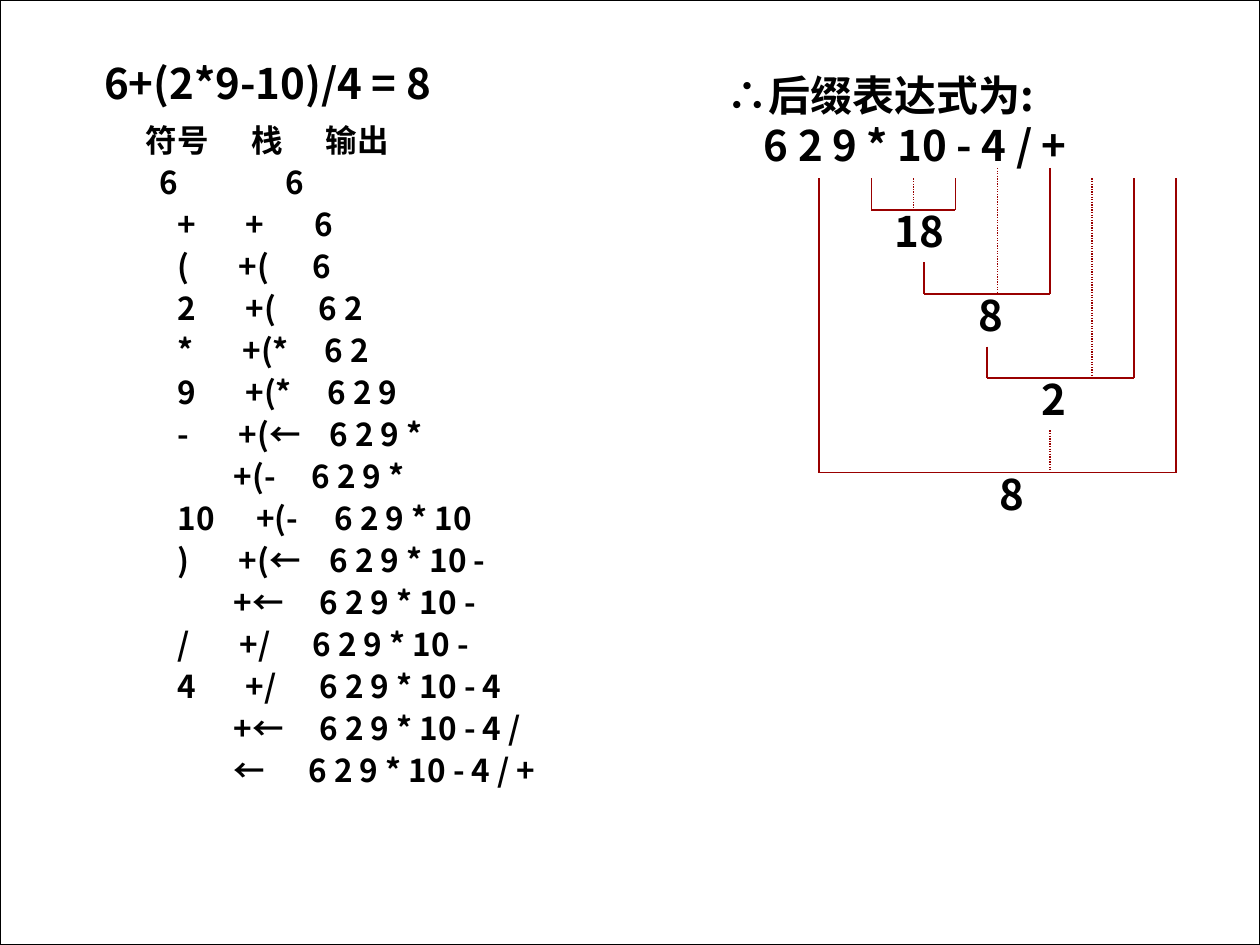
from lxml import etree
from pptx import Presentation
from pptx.dml.color import RGBColor
from pptx.enum.dml import MSO_LINE
from pptx.enum.shapes import MSO_CONNECTOR, MSO_SHAPE
from pptx.enum.text import MSO_AUTO_SIZE, PP_ALIGN
from pptx.oxml.ns import qn
from pptx.util import Cm, Pt

STRAIGHT = MSO_CONNECTOR.STRAIGHT
RECT = MSO_SHAPE.RECTANGLE
DOTTED = MSO_LINE.ROUND_DOT
JUSTIFY = PP_ALIGN.JUSTIFY
GROW = MSO_AUTO_SIZE.SHAPE_TO_FIT_TEXT
FONT = "Noto Sans CJK SC"
BLACK, WHITE, RED = "000000", "FFFFFF", "990000"

TITLE = "6+(2*9-10)/4 = 8"
POSTFIX = ["∴后缀表达式为:", "6 2 9 * 10 - 4 / +"]

# text, left, tab stops
ROWS = [
    ("符号\t栈\t输出", 2.69, (2.14, 3.63)),
    ("\t6\t6", 2.69, (0.28, 2.82)),
    ("+\t+\t6", 3.33, (1.37, 2.76)),
    ("(\t+(\t6", 3.33, (1.23, 2.72)),
    ("2\t+(\t6 2", 3.33, (1.37, 2.84)),
    ("*\t+(*\t6 2", 3.33, (1.31, 2.96)),
    ("9\t+(*\t6 2 9", 3.33, (1.37, 3.02)),
    ("-\t+(←\t6 2 9 *", 3.33, (1.23, 3.06)),
    ("\t+(-\t6 2 9 *", 3.33, (1.13, 2.7)),
    ("10\t+(-\t6 2 9 * 10", 3.33, (1.59, 3.16)),
    (")\t+(←\t6 2 9 * 10 -", 3.33, (1.23, 3.06)),
    ("\t+←\t6 2 9 * 10 -", 3.33, (1.13, 2.86)),
    ("/\t+/\t6 2 9 * 10 -", 3.33, (1.25, 2.72)),
    ("4\t+/\t6 2 9 * 10 - 4", 3.33, (1.37, 2.86)),
    ("\t+←\t6 2 9 * 10 - 4 /", 3.33, (1.13, 2.86)),
    ("\t←\t6 2 9 * 10 - 4 / +", 3.33, (1.13, 2.64)),
]
ROW_TOP, ROW_STEP = 2.31, 2.54 / 3

UNIT = 2.54 / 12
BRACKETS = [
    dict(left=(83, 17), dotted=(87, 17), right=(91, 17), base=20, result="18", x=84, w=8),
    dict(left=(88, 25), dotted=(95, 16), right=(100, 16), base=28, result="8", x=92, w=6),
    dict(left=(94, 33), dotted=(104, 17), right=(108, 17), base=36, result="2", x=98, w=6),
    dict(left=(78, 17), dotted=(100, 41), right=(112, 17), base=45, result="8", x=94, w=6),
]


def rgb(value):
    return RGBColor.from_string(value)


def add_text(lines, x, y, w, h, size=24, tabs=(), indents=(0,)):
    s = slide.shapes.add_textbox(Cm(x), Cm(y), Cm(w), Cm(h))
    tf = s.text_frame
    tf.word_wrap = True
    tf.auto_size = GROW
    for i, line in enumerate(lines):
        p = tf.paragraphs[0] if i == 0 else tf.add_paragraph()
        p.alignment = JUSTIFY
        pPr = p._p.get_or_add_pPr()
        if indents[i]:
            pPr.set("marL", str(Cm(indents[i])))
            pPr.set("indent", "0")
        if tabs:
            stops = etree.SubElement(pPr, qn("a:tabLst"))
            for pos in tabs:
                etree.SubElement(stops, qn("a:tab"), pos=str(Cm(pos)), algn="l")
        r = p.add_run()
        r.text = line
        r.font.size = Pt(size)
        r.font.bold = True
        r.font.name = FONT
        r.font.color.rgb = rgb(BLACK)
        etree.SubElement(r._r.get_or_add_rPr(), qn("a:ea"), typeface=FONT)


def add_line(start, end, dash=None):
    c = slide.shapes.add_connector(STRAIGHT, *[Cm(v * UNIT) for v in (*start, *end)])
    c.line.color.rgb = rgb(RED)
    c.line.width = Pt(0.75)
    if dash:
        c.line.dash_style = dash
    etree.SubElement(c._element.spPr, qn("a:effectLst"))


prs = Presentation()
prs.slide_width, prs.slide_height = Cm(25.4), Cm(19.05)
slide = prs.slides.add_slide(prs.slide_layouts[6])

frame = slide.shapes.add_shape(RECT, 0, 0, prs.slide_width, prs.slide_height)
frame.shadow.inherit = False
frame.fill.solid()
frame.fill.fore_color.rgb = rgb(WHITE)
frame.line.color.rgb = rgb(BLACK)
frame.line.width = Pt(0.75)

add_text([TITLE], 1.85, 1.04, 7.82, 1.27)
for i, (text, left, tabs) in enumerate(ROWS):
    add_text([text], left, ROW_TOP + i * ROW_STEP, 13.13, 1.02, size=18, tabs=tabs)

add_text(POSTFIX, 14.4, 1.27, 10.36, 3.05, indents=(0, 0.75))
for b in BRACKETS:
    base = b["base"]
    for side, dash in (("left", None), ("dotted", DOTTED), ("right", None)):
        add_line(b[side], (b[side][0], base), dash)
    add_line((b["left"][0], base), (b["right"][0], base))
    add_text([b["result"]], b["x"] * UNIT, (base - 1) * UNIT, b["w"] * UNIT, 6 * UNIT)

prs.save("out.pptx")
